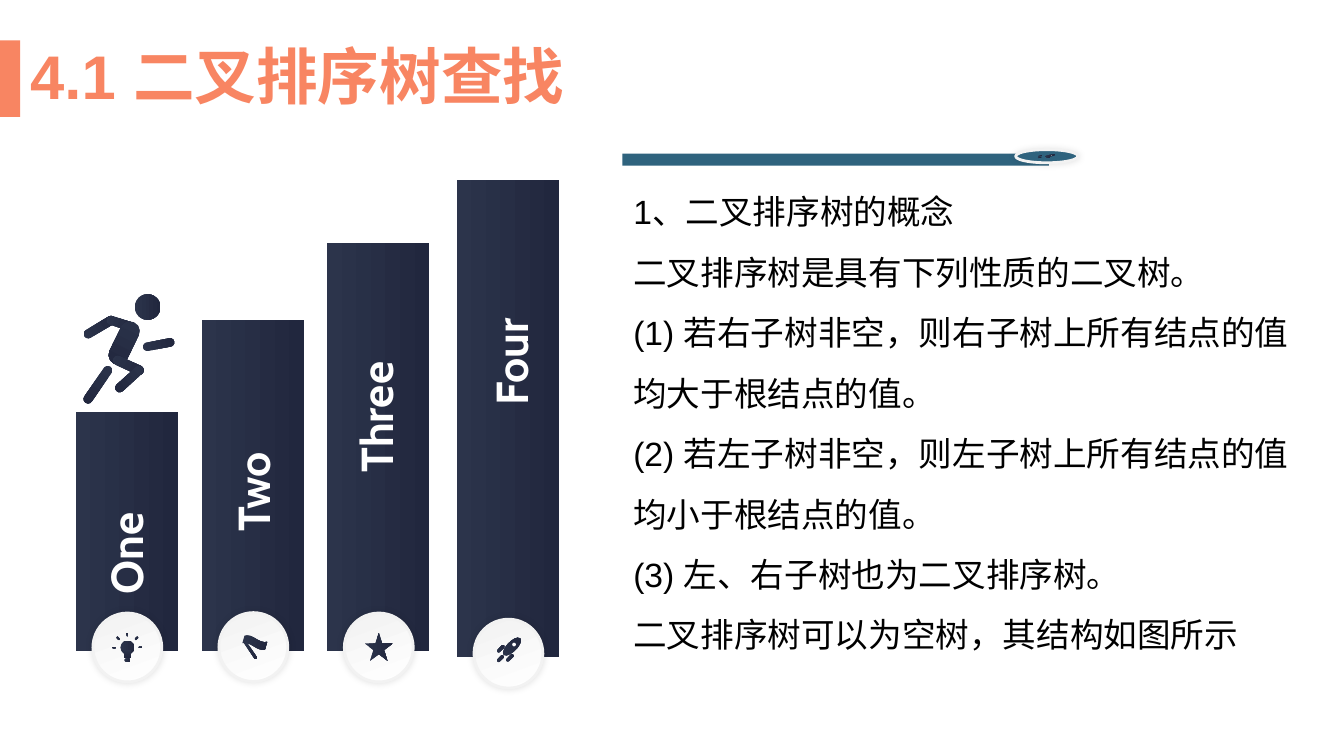
"""Build the slide on searching binary sort trees."""
import math
import pptx
import pptx.dml.color
import pptx.enum.shapes
import pptx.enum.text
import pptx.util
from lxml import etree

Pt = pptx.util.Pt
RGB = pptx.dml.color.RGBColor.from_string
SHAPES = pptx.enum.shapes.MSO_SHAPE
TEXT = pptx.enum.text
DRAWING = "{http://schemas.openxmlformats.org/drawingml/2006/main}"
COLORS = {"coral": "F88562", "navy": "2C344B", "night": "21273E", "teal": "2F637E",
          "white": "FFFFFF", "mist": "F2F2F2", "black": "000000"}
NAVY_BLEND = ("navy", "night", 0)
DISC_BLEND = ("white", "mist", 110)
ROUND = SHAPES.ROUNDED_RECTANGLE
BAR_WIDTH, DISC_SIZE, DISC_DROP = 73, 49.2, 22
LABEL_HEIGHT = 46.1

deck = pptx.Presentation()
deck.slide_width, deck.slide_height = Pt(960), Pt(540)
page = deck.slides.add_slide(deck.slide_layouts[5])


def style(shape, fill, line=None, glow=False):
    """Apply a plain or blended fill, an outline and an optional soft shadow."""
    if isinstance(fill, tuple):
        shape.fill.gradient()
        shape.fill.gradient_angle = fill[2]
        for stop, name in zip(shape.fill.gradient_stops, fill):
            stop.color.rgb = RGB(COLORS[name])
    else:
        shape.fill.solid()
        shape.fill.fore_color.rgb = RGB(COLORS[fill])
    if line:
        shape.line.color.rgb = RGB(COLORS[line])
        shape.line.width = Pt(2)
    else:
        shape.line.fill.background()
    shape.shadow.inherit = False
    if glow:
        effects = shape._element.spPr.find(DRAWING + "effectLst")
        shadow = etree.SubElement(effects, DRAWING + "outerShdw", blurRad=str(Pt(5)), dist="0", dir="0")
        color = etree.SubElement(shadow, DRAWING + "srgbClr", val=COLORS["black"])
        etree.SubElement(color, DRAWING + "alpha", val="11000")


def draw_stroke(start, end, thickness, kind=ROUND, fill=NAVY_BLEND):
    """Lay a preset shape along a line, reaching half its thickness past both ends."""
    across, down = end[0] - start[0], end[1] - start[1]
    length = math.hypot(across, down) + thickness
    middle_x, middle_y = (start[0] + end[0]) / 2, (start[1] + end[1]) / 2
    stroke = page.shapes.add_shape(kind, Pt(middle_x - length / 2), Pt(middle_y - thickness / 2),
                                   Pt(length), Pt(thickness))
    stroke.rotation = math.degrees(math.atan2(down, across))
    if kind == ROUND:
        stroke.adjustments[0] = 0.5
    style(stroke, fill)


marker = page.shapes.add_shape(SHAPES.RECTANGLE, 0, Pt(28.8), Pt(14.4), Pt(54.7))
style(marker, "coral")

title = page.shapes.title
title.left, title.top, title.width, title.height = Pt(14.4), Pt(29.2), Pt(931.7), Pt(55.4)
title.text_frame.vertical_anchor = TEXT.MSO_ANCHOR.MIDDLE
title.text_frame.auto_size = TEXT.MSO_AUTO_SIZE.SHAPE_TO_FIT_TEXT
para = title.text_frame.paragraphs[0]
para.alignment = TEXT.PP_ALIGN.LEFT
para.line_spacing = 0.9
span = para.add_run()
span.text = "4.1 二叉排序树查找"
span.font.size, span.font.name, span.font.bold = Pt(44), "Arial", True
span.font.color.rgb = RGB(COLORS["coral"])

concept_lines = [
    "1、二叉排序树的概念",
    "二叉排序树是具有下列性质的二叉树。",
    "(1) 若右子树非空，则右子树上所有结点的值均大于根结点的值。",
    "(2) 若左子树非空，则左子树上所有结点的值均小于根结点的值。",
    "(3) 左、右子树也为二叉排序树。",
    "二叉排序树可以为空树，其结构如图所示",
]
box = page.shapes.add_textbox(Pt(445.3), Pt(118.5), Pt(483.1), Pt(356.4))
box.text_frame.word_wrap = True
box.text_frame.auto_size = TEXT.MSO_AUTO_SIZE.SHAPE_TO_FIT_TEXT
for index, line in enumerate(concept_lines):
    para = box.text_frame.add_paragraph() if index else box.text_frame.paragraphs[0]
    para.line_spacing = 1.5
    span = para.add_run()
    span.text = line
    span.font.size, span.font.name = Pt(24), "Arial"
    span.font.color.rgb = RGB(COLORS["black"])

rule = page.shapes.add_shape(SHAPES.RECTANGLE, Pt(592.6), Pt(-38.2), Pt(8.6), Pt(304.6))
style(rule, "teal")
badge = page.shapes.add_shape(SHAPES.OVAL, Pt(743), Pt(89.3), Pt(9.4), Pt(44.6))
style(badge, "teal", "mist", glow=True)
for shape in (rule, badge):
    shape.rotation = 90

bulb = [((0, 0), (0, 0), 10, SHAPES.OVAL),
        ((0, 4), (0, 5), 4.8, SHAPES.RECTANGLE),
        ((-1, 9), (1, 9), 2.4)]
for degrees in range(0, 181, 45):
    ray_x, ray_y = math.cos(math.radians(degrees)), -math.sin(math.radians(degrees))
    bulb.append(((8.5 * ray_x, 8.5 * ray_y), (10 * ray_x, 10 * ray_y), 1.4))
flag = [((-6, -3.5), (1.5, 7.5), 2), ((-3.5, -4.5), (5.5, -2), 7.5, SHAPES.WAVE)]
star = [((0, -0.5), (0, -0.5), 20, SHAPES.STAR_5_POINT)]
rocket = [((-1, -1.5), (6, -8.5), 7, SHAPES.OVAL),
          ((4, -6.5), (4, -6.5), 2.6, SHAPES.OVAL, "white"),
          ((-7, -2), (-4, -5), 2.4),
          ((-0.5, 4.5), (2.5, 1.5), 2.4),
          ((-7, 4.8), (-4.5, 2.3), 2.4)]

steps = [
    ("One", 54, 294.5, 170.6, bulb, 90, 378.1, 106.6, 0),
    ("Two", 144, 228.6, 236.2, flag, 180.7, 347.8, 106.6, 14.4),
    ("Three", 233.6, 173.5, 291.6, star, 268.9, 294.5, 128.9, 14.4),
    ("Four", 326.2, 128.9, 340.6, rocket, 365, 265, 106.6, 21.6),
]
emblems = [(747.6, 112, 0.9, 0.16, rocket)]
for name, left, top, height, icon, label_x, label_y, label_width, indent in steps:
    bar = page.shapes.add_shape(SHAPES.RECTANGLE, Pt(left), Pt(top), Pt(BAR_WIDTH), Pt(height))
    style(bar, NAVY_BLEND)
    disc_x, disc_y = left + BAR_WIDTH / 2 + 0.5, top + height - 2.6
    disc = page.shapes.add_shape(SHAPES.OVAL, Pt(disc_x - DISC_SIZE / 2), Pt(disc_y - DISC_SIZE / 2),
                                 Pt(DISC_SIZE), Pt(DISC_SIZE))
    style(disc, DISC_BLEND, "mist", glow=True)
    emblems.append((disc_x, disc_y, 1, 1, icon))

    label = page.shapes.add_textbox(Pt(label_x - label_width / 2), Pt(label_y - LABEL_HEIGHT / 2),
                                    Pt(label_width), Pt(LABEL_HEIGHT))
    label.rotation = 270
    label.text_frame.word_wrap = True
    label.text_frame.auto_size = TEXT.MSO_AUTO_SIZE.SHAPE_TO_FIT_TEXT
    label.text_frame.margin_left = Pt(7.2 + indent)
    span = label.text_frame.paragraphs[0].add_run()
    span.text = name
    span.font.size, span.font.name, span.font.bold = Pt(32), "Cabin", True
    span.font.color.rgb = RGB(COLORS["white"])

for center_x, center_y, stretch_x, stretch_y, icon in emblems:
    for start, end, thickness, *look in icon:
        ends = [(center_x + x * stretch_x, center_y + y * stretch_y) for x, y in (start, end)]
        draw_stroke(*ends, thickness * stretch_y, *look)

joints = {
    "head": (105.4, 219.3), "shoulder": (79.3, 228.8), "neck": (94, 233.5),
    "chest": (92.8, 236.5), "hip": (84.5, 253.5), "seat": (84, 257.5),
    "knee": (99.3, 264.5), "front foot": (85.5, 277),
    "back hand": (62.9, 238.6), "elbow": (105, 247.7), "front hand": (121.5, 244.6),
    "back knee": (77, 264.5), "back foot": (62.9, 285),
}
limbs = [
    ("head", "head", 18.4), ("back hand", "shoulder", 6.4), ("shoulder", "neck", 6.4),
    ("chest", "hip", 14), ("seat", "knee", 6.8), ("knee", "front foot", 6.4),
    ("elbow", "front hand", 6), ("back knee", "back foot", 6.4),
]
for start, end, thickness in limbs:
    draw_stroke(joints[start], joints[end], thickness)

deck.save("out.pptx")
